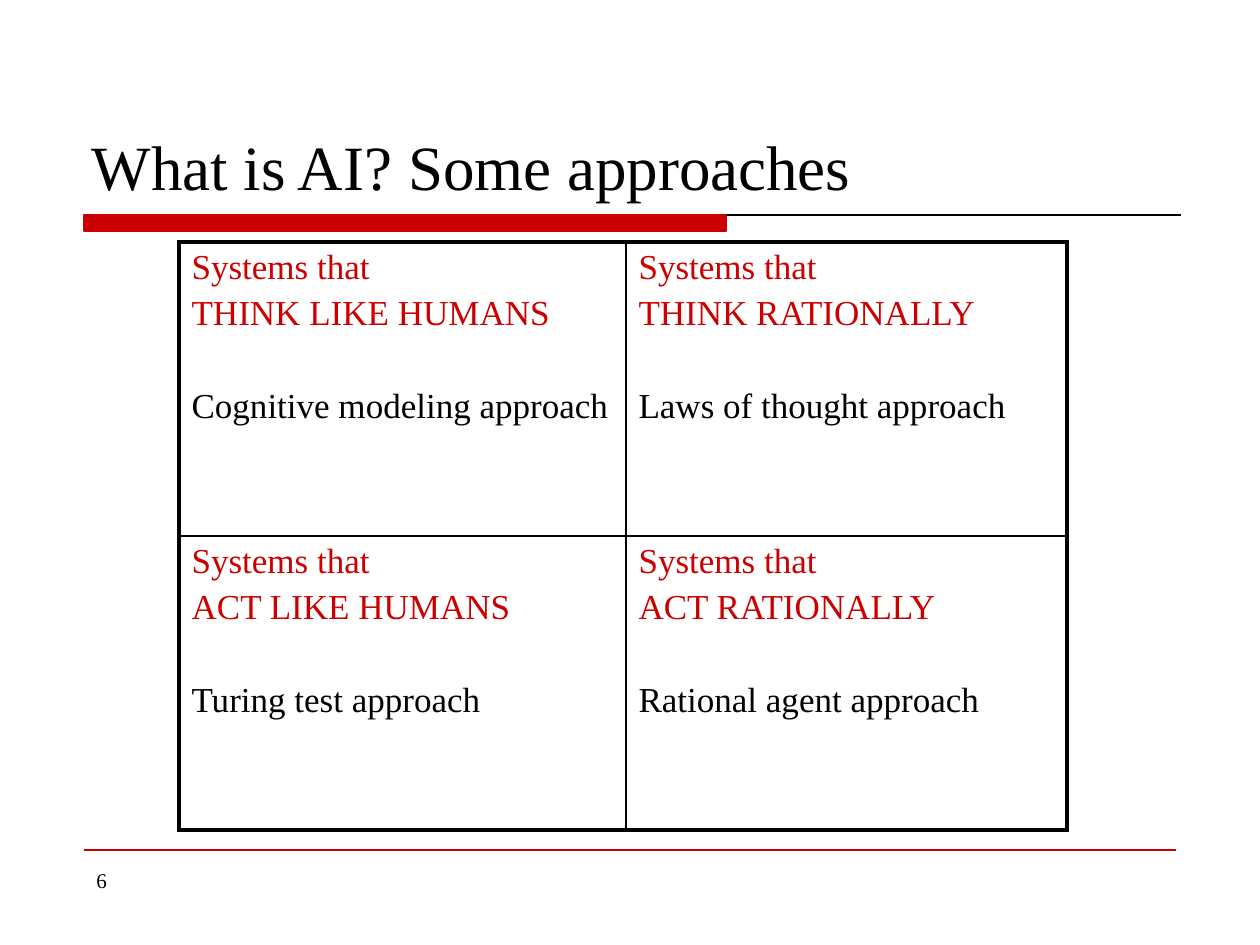
from lxml import etree
from pptx import Presentation
from pptx import util as u
from pptx.dml.color import RGBColor
from pptx.enum import shapes, text
from pptx.oxml import ns

PX_PER_INCH = 126
FONT = "Times New Roman"
RED, BLACK = "CC0000", "000000"
CELLS = [
    [("THINK LIKE HUMANS", "Cognitive modeling approach"),
     ("THINK RATIONALLY", "Laws of thought approach")],
    [("ACT LIKE HUMANS", "Turing test approach"),
     ("ACT RATIONALLY", "Rational agent approach")],
]
COLUMN_WIDTHS = [447, 441]
ROW_HEIGHT = 294
THICK, THIN = 2.25, 1


def px(value):
    return u.Emu(round(value * 914400 / PX_PER_INCH))


def box(*lengths):
    return [px(length) for length in lengths]


def color(hex_code):
    return RGBColor.from_string(hex_code)


def format_runs(paragraph, size, hex_code):
    for run in paragraph.runs:
        run.font.name = FONT
        run.font.size = u.Pt(size)
        run.font.color.rgb = color(hex_code)


def add_title(slide, title):
    shape = slide.shapes.title
    shape.left, shape.top, shape.width, shape.height = box(79, 42, 1103, 167)
    frame = shape.text_frame
    frame.text = title
    frame.vertical_anchor = text.MSO_ANCHOR.BOTTOM
    frame.auto_size = text.MSO_AUTO_SIZE.NONE
    frame.paragraphs[0].alignment = text.PP_ALIGN.LEFT
    format_runs(frame.paragraphs[0], 36, BLACK)


def add_rule(slide, left, right, y, hex_code):
    line = slide.shapes.add_connector(
        shapes.MSO_CONNECTOR.STRAIGHT, *box(left, y, right, y))
    line.line.color.rgb = color(hex_code)
    line.line.width = u.Pt(0.75)
    etree.SubElement(line._element.spPr, ns.qn("a:effectLst"))


def add_bar(slide):
    bar = slide.shapes.add_shape(
        shapes.MSO_SHAPE.RECTANGLE, *box(84, 215, 642, 16))
    bar.shadow.inherit = False
    bar.fill.solid()
    bar.fill.fore_color.rgb = color(RED)
    bar.line.color.rgb = color(RED)
    bar.line.width = u.Pt(0.75)


def add_page_number(slide, number):
    frame = slide.shapes.add_textbox(*box(84, 861, 273, 66)).text_frame
    frame.word_wrap = True
    frame.text = number
    format_runs(frame.paragraphs[0], 12, BLACK)


def set_border(cell, side, width):
    """Draw one side (L, R, T or B) of a cell in black."""
    line = etree.SubElement(
        cell._tc.get_or_add_tcPr(), ns.qn(f"a:ln{side}"), w=str(u.Pt(width)))
    fill = etree.SubElement(line, ns.qn("a:solidFill"))
    etree.SubElement(fill, ns.qn("a:srgbClr"), val=BLACK)


def fill_cell(cell, system, approach):
    frame = cell.text_frame
    frame.text = "\n".join(["Systems that", system, approach])
    styles = [(0, RED), (4, RED), (31, BLACK)]
    for paragraph, (space, hex_code) in zip(frame.paragraphs, styles):
        paragraph.space_before = u.Pt(space)
        format_runs(paragraph, 20, hex_code)


def add_approach_table(slide):
    rows, columns = len(CELLS), len(COLUMN_WIDTHS)
    table = slide.shapes.add_table(
        rows, columns,
        *box(179, 242, sum(COLUMN_WIDTHS), rows * ROW_HEIGHT)).table
    table.first_row = table.horz_banding = False
    for column, width in zip(table.columns, COLUMN_WIDTHS):
        column.width = px(width)
    for i, entries in enumerate(CELLS):
        table.rows[i].height = px(ROW_HEIGHT)
        for j, entry in enumerate(entries):
            cell = table.cell(i, j)
            fill_cell(cell, *entry)
            outer = {"L": j == 0, "R": j == columns - 1,
                     "T": i == 0, "B": i == rows - 1}
            for side, is_outer in outer.items():
                set_border(cell, side, THICK if is_outer else THIN)
            cell.fill.background()


def main():
    presentation = Presentation()
    presentation.slide_width, presentation.slide_height = box(1260, 945)
    slide = presentation.slides.add_slide(presentation.slide_layouts[5])
    add_rule(slide, 84, 1181, 215, BLACK)
    add_bar(slide)
    add_rule(slide, 84, 1176, 850, RED)
    add_page_number(slide, "6")
    add_title(slide, "What is AI? Some approaches")
    add_approach_table(slide)
    presentation.save("out.pptx")


if __name__ == "__main__":
    main()
